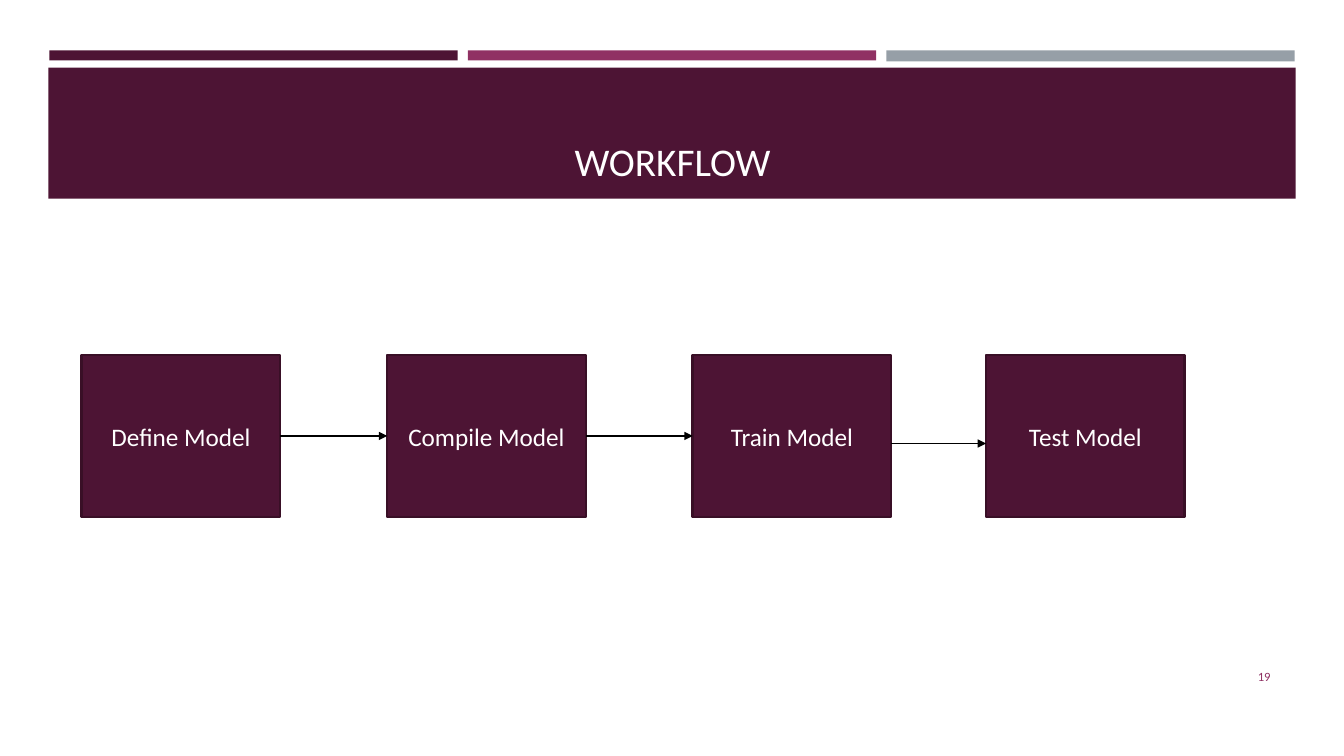
from lxml.etree import SubElement
from pptx import Presentation
from pptx.dml.color import RGBColor
from pptx.enum.shapes import MSO_CONNECTOR as Connector, MSO_SHAPE as Shape
from pptx.enum.text import MSO_ANCHOR as Anchor, PP_ALIGN as Align
from pptx.oxml.ns import qn
from pptx.util import Inches, Pt

COLORS = {
    "plum": "4D1434",
    "magenta": "903163",
    "gray": "969FA7",
    "edge": "390F26",
    "white": "FFFFFF",
    "black": "000000",
}
FONT = "Calibri"
TITLE = "WORKFLOW"
PAGE_NUMBER = "19"
STRIPES = [("plum", 0.1), ("magenta", 0.1), ("gray", 0.11)]
STRIPE_LEFT, STRIPE_TOP, STRIPE_WIDTH, STRIPE_STEP = 0.49, 0.5, 4.05, 4.15
BANNER = (0.48, 0.67, 12.37, 1.3)
STEPS = [
    ("Define Model", 0.81),
    ("Compile Model", 3.84),
    ("Train Model", 6.87),
    ("Test Model", 9.78),
]
STEP_TOP, STEP_WIDTH, STEP_HEIGHT = 3.52, 1.97, 1.61
LAST_ARROW_Y = 4.4


def rgb(name):
    """Return the named palette colour."""
    return RGBColor.from_string(COLORS[name])


def add_block(slide, box, fill, edge=None):
    """Add a flat rectangle, outlined if an edge colour is given."""
    block = slide.shapes.add_shape(Shape.RECTANGLE, *map(Inches, box))
    block.shadow.inherit = False
    block.fill.solid()
    block.fill.fore_color.rgb = rgb(fill)
    if edge:
        block.line.color.rgb = rgb(edge)
        block.line.width = Pt(1.75)
    else:
        block.line.fill.background()
    return block


def write(holder, text, size, color, align=Align.CENTER, anchor=Anchor.MIDDLE):
    """Put one formatted line of text in a shape."""
    frame = holder.text_frame
    frame.text = text
    frame.word_wrap = True
    frame.vertical_anchor = anchor
    paragraph = frame.paragraphs[0]
    paragraph.alignment = align
    font = paragraph.runs[0].font
    font.name, font.size, font.color.rgb = FONT, Pt(size), rgb(color)


def add_arrow(slide, start_x, end_x, y):
    """Add a level arrow without a shadow."""
    arrow = slide.shapes.add_connector(
        Connector.STRAIGHT, Inches(start_x), Inches(y), Inches(end_x), Inches(y))
    arrow.line.color.rgb = rgb("black")
    arrow.line.width = Pt(1)
    SubElement(arrow.line._get_or_add_ln(), qn("a:tailEnd"), type="triangle")
    SubElement(arrow._element.spPr, qn("a:effectLst"))
    return arrow


def main():
    """Build the workflow slide."""
    deck = Presentation()
    deck.slide_width, deck.slide_height = Inches(13.33), Inches(7.5)
    slide = deck.slides.add_slide(deck.slide_layouts[6])

    for index, (color, height) in enumerate(STRIPES):
        left = STRIPE_LEFT + index * STRIPE_STEP
        add_block(slide, (left, STRIPE_TOP, STRIPE_WIDTH, height), color)
    add_block(slide, BANNER, "plum")
    title = slide.shapes.add_textbox(*map(Inches, (0.64, 0.77, 12.06, 1.11)))
    write(title, TITLE, 28, "white", anchor=Anchor.BOTTOM)

    steps = []
    for label, left in STEPS:
        step = add_block(slide, (left, STEP_TOP, STEP_WIDTH, STEP_HEIGHT), "plum", "edge")
        write(step, label, 18, "white")
        steps.append(step)

    lefts = [left for _, left in STEPS]
    middle = STEP_TOP + STEP_HEIGHT / 2
    for index in range(len(steps) - 2):
        arrow = add_arrow(slide, lefts[index] + STEP_WIDTH, lefts[index + 1], middle)
        arrow.begin_connect(steps[index], 3)
        arrow.end_connect(steps[index + 1], 1)
    add_arrow(slide, lefts[-2] + STEP_WIDTH, lefts[-1], LAST_ARROW_Y)

    number = slide.shapes.add_textbox(*map(Inches, (11.55, 6.51, 1.15, 0.4)))
    write(number, PAGE_NUMBER, 9, "magenta", Align.RIGHT)
    deck.save("out.pptx")


if __name__ == "__main__":
    main()
